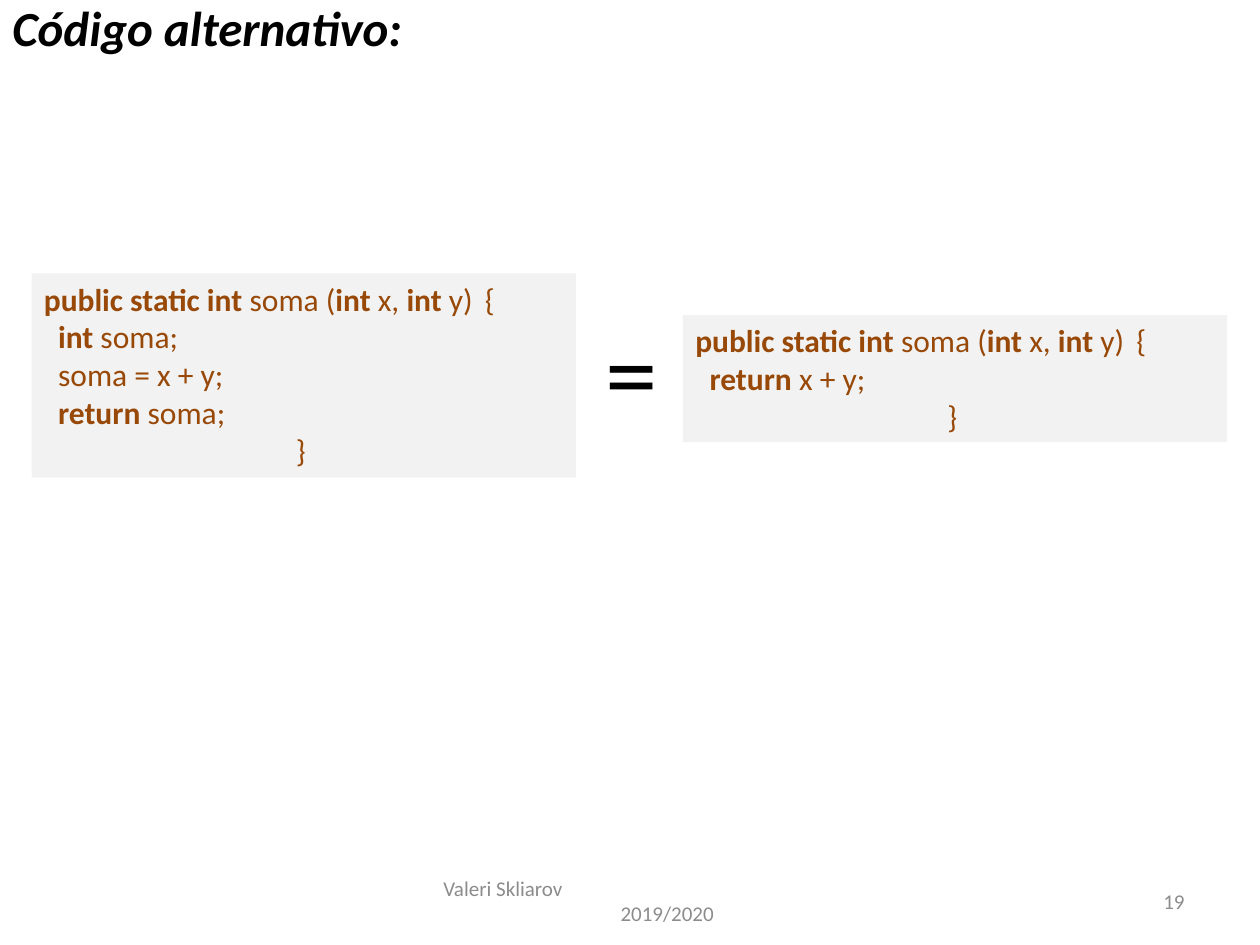
import pptx
import pptx.util
from dataclasses import dataclass
from pptx.dml.color import RGBColor
from pptx.enum.shapes import MSO_SHAPE
from pptx.enum.text import MSO_ANCHOR, MSO_AUTO_SIZE, PP_ALIGN

Inches = pptx.util.Inches


@dataclass(frozen=True)
class Theme:
    font: str = "Calibri"
    ink: str = "000000"
    muted: str = "8C8C8C"
    code: str = "984807"
    panel: str = "F2F2F2"
    footer_size: int = 12
    code_size: int = 18
    title_size: int = 28
    symbol_size: int = 60


class Deck:
    def __init__(self, theme):
        self.theme = theme
        self.prs = pptx.Presentation()
        self.prs.slide_width, self.prs.slide_height = Inches(10), Inches(7.5)
        self.s = None

    def add_slide(self):
        self.s = self.prs.slides.add_slide(self.prs.slide_layouts[6])

    def style(self, r, size, color, bold=False, italic=False):
        r.font.name = self.theme.font
        r.font.size = pptx.util.Pt(size)
        r.font.color.rgb = RGBColor.from_string(color)
        r.font.bold, r.font.italic = bold, italic

    def label(self, box, text, size, color, bold=False, italic=False):
        """Text on one line in a box that fits it."""
        tf = self.s.shapes.add_textbox(*map(Inches, box)).text_frame
        tf.text = text
        tf.word_wrap = False
        tf.auto_size = MSO_AUTO_SIZE.SHAPE_TO_FIT_TEXT
        self.style(tf.paragraphs[0].runs[0], size, color, bold, italic)

    def footer(self, box, lines):
        """Lines are (text, alignment, left margin in inches)."""
        tf = self.s.shapes.add_textbox(*map(Inches, box)).text_frame
        tf.text = "\n".join(text for text, _, _ in lines)
        tf.word_wrap = True
        tf.vertical_anchor = MSO_ANCHOR.MIDDLE
        for p, (_, align, margin) in zip(tf.paragraphs, lines):
            p.alignment = align
            if margin:
                p._p.get_or_add_pPr().set("marL", str(Inches(margin)))
            self.style(p.runs[0], self.theme.footer_size, self.theme.muted)

    def code(self, box, lines):
        """Code panel; keywords stand between asterisks."""
        sp = self.s.shapes.add_shape(MSO_SHAPE.RECTANGLE, *map(Inches, box))
        sp.shadow.inherit = False
        sp.fill.solid()
        sp.fill.fore_color.rgb = RGBColor.from_string(self.theme.panel)
        sp.line.fill.background()
        tf = sp.text_frame
        tf.word_wrap = False
        tf.auto_size = MSO_AUTO_SIZE.SHAPE_TO_FIT_TEXT
        tf.vertical_anchor = MSO_ANCHOR.TOP
        for i, line in enumerate(lines):
            p = tf.add_paragraph() if i else tf.paragraphs[0]
            p.alignment = PP_ALIGN.LEFT
            for j, part in enumerate(line.split("*")):
                if part:
                    r = p.add_run()
                    r.text = part
                    self.style(r, self.theme.code_size, self.theme.code, bold=j % 2 == 1)


def main():
    theme = Theme()
    deck = Deck(theme)
    deck.add_slide()

    # Footer and slide number
    deck.footer((3.42, 6.95, 3.17, 0.4), [
        ("Valeri Skliarov", PP_ALIGN.LEFT, 0),
        ("2019/2020", PP_ALIGN.CENTER, 0.58),
    ])
    deck.footer((7.17, 6.95, 2.33, 0.4), [("19", PP_ALIGN.RIGHT, 0)])

    # Title
    deck.label((0, -0.07, 3.33, 0.57), "Código alternativo:",
               theme.title_size, theme.ink, bold=True, italic=True)

    # Two equivalent methods: same signature and closing brace
    signature = "*public static int *soma (*int* x, *int* y)\t{"
    closing = "\t\t\t\t}"
    long_body = ["  *int* soma;", "  soma = x + y;", "  *return* soma;"]
    short_body = ["  *return* x + y;"]
    deck.code((0.25, 2.17, 4.32, 1.62), [signature, *long_body, closing])
    deck.code((5.42, 2.5, 4.32, 1.01), [signature, *short_body, closing])

    # Equals sign between them
    deck.label((4.71, 2.38, 0.62, 1.11), "=", theme.symbol_size, theme.ink)

    deck.prs.save("out.pptx")


if __name__ == "__main__":
    main()
